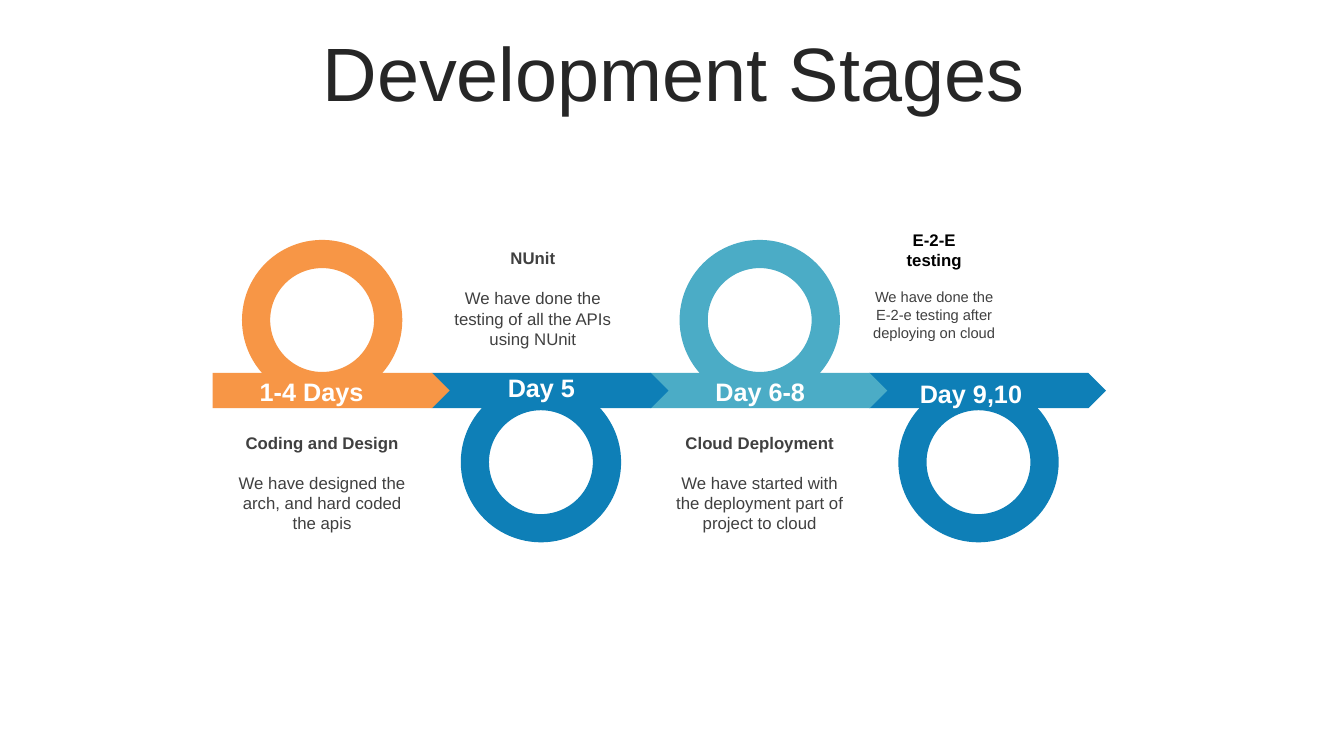
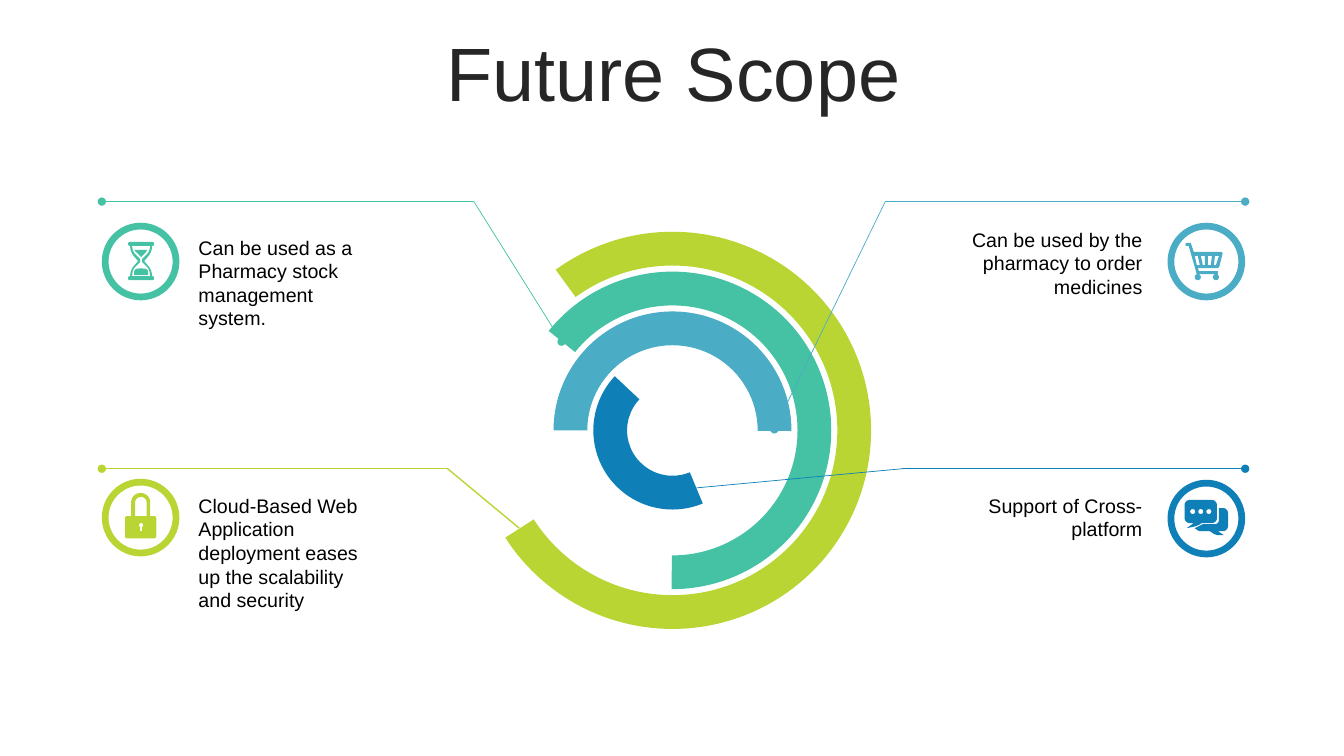
import math

import pptx
import pptx.dml.color
import pptx.enum.shapes
import pptx.enum.text
import pptx.oxml.ns
import pptx.util
from lxml import etree

Inches = pptx.util.Inches
Pt = pptx.util.Pt
SHAPE = pptx.enum.shapes.MSO_SHAPE
ALIGN = pptx.enum.text.PP_ALIGN

SLIDE_WIDTH, SLIDE_HEIGHT = 13.33, 7.5
FONT = "Arial"
COLORS = {
    "title": "262626",
    "body": "404040",
    "black": "000000",
    "white": "FFFFFF",
    "orange": "F79646",
    "blue": "0E7FB7",
    "cyan": "4BACC6",
    "lime": "B9D533",
    "green": "45C1A4",
}

# Timeline: equal columns along one band
STAGE_LEFT, STAGE_PITCH = 2.11, 2.17
BAND_TOP, BAND_HEIGHT, ARROW_WIDTH = 3.7, 0.35, 2.35
LOOP_SIZE, LOOP_INSET = 1.59, 0.29
LOOP_TOP = {"above": 2.38, "below": 3.79}

# Scope: concentric arcs and four callouts
ARC_CENTER = (6.67, 4.27)
ARC_OUTER, ARC_STEP, ARC_THICKNESS = 3.94, 0.79, 0.335
RING_SIZE = 0.77
EDGE_LEFT, EDGE_RIGHT = 1.01, 12.35
ICON_UNIT = Inches(0.01)


def rgb(color):
    return pptx.dml.color.RGBColor.from_string(COLORS[color])


def paint(shape, color):
    shape.shadow.inherit = False
    shape.fill.solid()
    shape.fill.fore_color.rgb = rgb(color)
    shape.line.fill.background()


def add_preset(slide, preset, left, top, width, height, color, adjustments=()):
    shape = slide.shapes.add_shape(
        preset, Inches(left), Inches(top), Inches(width), Inches(height))
    for index, value in enumerate(adjustments):
        shape.adjustments[index] = value
    paint(shape, color)


def style_paragraph(paragraph, size, color, bold=False, align=ALIGN.CENTER):
    paragraph.alignment = align
    paragraph.font.name = FONT
    paragraph.font.size = Pt(size)
    paragraph.font.bold = bold
    paragraph.font.color.rgb = rgb(color)


def add_text(slide, text, left, top, width, height, size, color,
             bold=False, align=ALIGN.CENTER):
    """Add a wrapped text box; each line of text is a paragraph."""
    box = slide.shapes.add_textbox(
        Inches(left), Inches(top), Inches(width), Inches(height))
    box.text_frame.word_wrap = True
    box.text_frame.text = text
    for paragraph in box.text_frame.paragraphs:
        style_paragraph(paragraph, size, color, bold, align)


def add_line(slide, start, end, color, width=0.5, dot=False):
    """Draw a line, with a dot at its end if asked."""
    connector = slide.shapes.add_connector(
        pptx.enum.shapes.MSO_CONNECTOR.STRAIGHT,
        *(Inches(value) for value in (*start, *end)))
    connector.line.color.rgb = rgb(color)
    connector.line.width = Pt(width)
    if dot:
        line = connector.line._get_or_add_ln()
        etree.SubElement(line, pptx.oxml.ns.qn("a:tailEnd"), type="oval")
    properties = connector._element.spPr
    etree.SubElement(properties, pptx.oxml.ns.qn("a:effectLst"))


def add_titled_slide(presentation, title):
    slide = presentation.slides.add_slide(presentation.slide_layouts[5])
    shape = slide.shapes.title
    shape.left, shape.top = Inches(0.35), Inches(0.37)
    shape.width, shape.height = Inches(12.66), Inches(0.79)
    frame = shape.text_frame
    frame.text = title
    frame.auto_size = pptx.enum.text.MSO_AUTO_SIZE.NONE
    frame.vertical_anchor = pptx.enum.text.MSO_ANCHOR.MIDDLE
    frame.paragraphs[0].line_spacing = 0.9
    style_paragraph(frame.paragraphs[0], 54, "title")
    return slide


def circle(x, y, radius, steps=24):
    angles = (2 * math.pi * step / steps for step in range(steps))
    return [(x + radius * math.cos(a), y + radius * math.sin(a)) for a in angles]


def outline(*vertices, steps=8):
    """Return polygon points; a vertex (x, y, radius) gets a rounded corner."""
    points = []
    for index, (x, y, *radius) in enumerate(vertices):
        if not radius:
            points.append((x, y))
            continue
        ends = []
        for neighbor in (vertices[index - 1], vertices[(index + 1) % len(vertices)]):
            dx, dy = neighbor[0] - x, neighbor[1] - y
            share = radius[0] / math.hypot(dx, dy)
            ends.append((dx * share, dy * share))
        (ax, ay), (bx, by) = ends
        for step in range(steps + 1):
            t = step / steps
            a = (1 - t) ** 3 + 1.35 * t * (1 - t) ** 2
            b = t ** 3 + 1.35 * t ** 2 * (1 - t)
            points.append((x + a * ax + b * bx, y + a * ay + b * by))
    return points


def hourglass_icon():
    return [
        outline((0, 0, 2), (26, 0, 2), (26, 4, 2), (0, 4, 2)),
        outline((0, 34, 2), (26, 34, 2), (26, 38, 2), (0, 38, 2)),
        outline((2, 4), (24, 4), (23, 11, 4), (16, 19), (23, 27, 4), (24, 34),
                (2, 34), (3, 27, 4), (10, 19), (3, 11, 4)),
        outline((4, 4), (22, 4), (21, 10, 3), (14, 17), (14, 20), (21, 27, 3),
                (22, 34), (4, 34), (5, 27, 3), (12, 20), (12, 17), (5, 10, 3)),
        outline((6, 8), (19, 8), (18, 10), (13, 15), (8, 10)),
        outline((6, 33), (6, 27, 3), (13, 26, 4), (20, 27, 3), (20, 33)),
    ]


def lock_icon():
    return [
        outline((0, 23, 2), (31, 23, 2), (31, 45, 2), (0, 45, 2)),
        outline((6, 23), (6, 0, 9.5), (25, 0, 9.5), (25, 23)),
        outline((10, 23), (10, 4, 5.5), (21.5, 4, 5.5), (21.5, 23)),
        outline((14, 30, 1.5), (18, 30, 1.5), (18, 33, 1), (17, 34),
                (17, 38), (15, 38), (15, 34), (14, 33, 1)),
    ]


def cart_icon():
    slots = [(9, 12, 14, 11), (15, 19, 19, 17), (22, 26, 25, 22), (29, 33, 30, 28)]
    return [
        outline((0, 0), (5, 0), (8, 9), (37, 9, 2), (33, 25, 1.5), (12, 25),
                (13, 28), (32, 28), (32, 31), (11, 31), (3, 3), (0, 3)),
        *(list(zip(slot, (13, 13, 22, 22))) for slot in slots),
        circle(12, 34, 3), circle(30, 34, 3),
    ]


def chat_icon():
    return [
        outline((0, 0, 5), (32, 0, 5), (32, 23, 5), (17, 23), (12, 26, 3),
                (2, 28), (9, 23), (0, 23, 5)),
        outline((34, 8), (43, 8, 5), (43, 31, 5), (33, 31), (39, 35),
                (31, 35, 3), (25, 31), (14, 31, 2), (10, 28), (18, 24), (34, 24, 4)),
        *(circle(x, 11.5, 2.5) for x in (8, 16, 24)),
    ]


def add_icon(slide, contours, left, top, color):
    """Draw contours, given in hundredths of an inch, as one shape."""
    builder = None
    for contour in contours:
        points = [(x * ICON_UNIT, y * ICON_UNIT) for x, y in contour]
        if builder is None:
            builder = slide.shapes.build_freeform(*points[0], scale=1.0)
        else:
            builder.move_to(*points[0])
        builder.add_line_segments(points[1:], close=True)
    paint(builder.convert_to_shape(Inches(left), Inches(top)), color)


def add_stage(slide, column, color, loop):
    left = STAGE_LEFT + column * STAGE_PITCH
    add_preset(slide, SHAPE.PENTAGON, left, BAND_TOP, ARROW_WIDTH, BAND_HEIGHT, color)
    add_preset(slide, SHAPE.DONUT, left + LOOP_INSET, LOOP_TOP[loop],
               LOOP_SIZE, LOOP_SIZE, color, [0.176])


def add_stage_text(slide, label, label_at, heading, heading_at, detail,
                   width=1.95, size=12, heading_color="body"):
    left, top = heading_at
    add_text(slide, label, *label_at, 1.3, 0.4, 18, "white", bold=True)
    add_text(slide, heading, left, top, width, 0.3, 12, heading_color, bold=True)
    detail_top = 2.81 if top < BAND_TOP else 4.64
    add_text(slide, detail, left, detail_top, width, 0.71, size, "body")


def add_arc(slide, ring, start, end, color):
    """Draw the arc of a ring, counted from outside, between two angles."""
    size = ARC_OUTER - ring * ARC_STEP
    left, top = (center - size / 2 for center in ARC_CENTER)
    add_preset(slide, SHAPE.BLOCK_ARC, left, top, size, size, color,
               [start * 0.6, end * 0.6, ARC_THICKNESS / size])


def add_callout(slide, color, bend, target, ring_top, icon, icon_offset,
                text, text_top, leg_width=0.5, target_dot=False):
    """Add a bent leader with its ringed icon and text at the nearer edge."""
    on_left = bend[0] < SLIDE_WIDTH / 2
    edge = EDGE_LEFT if on_left else EDGE_RIGHT
    ring_left = edge if on_left else edge - RING_SIZE
    add_line(slide, bend, (edge, bend[1]), color, dot=True)
    add_line(slide, bend, target, color, leg_width, target_dot)
    add_preset(slide, SHAPE.DONUT, ring_left, ring_top, RING_SIZE, RING_SIZE,
               color, [0.087])
    add_icon(slide, icon, ring_left + icon_offset[0], ring_top + icon_offset[1], color)
    text_left, width, align = (
        (1.87, 1.98, ALIGN.LEFT) if on_left else (9.4, 2.03, ALIGN.RIGHT))
    add_text(slide, text, text_left, text_top, width, 1.04, 14, "black", align=align)


def build_stages(presentation):
    slide = add_titled_slide(presentation, "Development Stages")
    stages = [("orange", "above"), ("blue", "below"),
              ("cyan", "above"), ("blue", "below")]
    # Right to left, so that each arrow tip lies over the next band
    for column, (color, loop) in reversed(list(enumerate(stages))):
        add_stage(slide, column, color, loop)
    add_stage_text(slide, "1-4 Days", (2.44, 3.68), "Coding and Design", (2.22, 4.24),
                   "We have designed the arch, and hard coded the apis")
    add_stage_text(slide, "Day 5", (4.72, 3.64), "NUnit", (4.31, 2.41),
                   "We have done the testing of all the APIs using NUnit")
    add_stage_text(slide, "Day 6-8", (6.89, 3.68), "Cloud Deployment", (6.56, 4.24),
                   "We have started with the deployment part of project to cloud")
    add_stage_text(slide, "Day 9,10", (8.98, 3.7), "E-2-E\ntesting", (8.54, 2.23),
                   "We have done the E-2-e testing after deploying on cloud",
                   width=1.45, size=10.5, heading_color="black")


def build_scope(presentation):
    slide = add_titled_slide(presentation, "Future Scope")
    arcs = [(234, 147.3, "lime"), (218.8, 90.3, "green"),
            (180, 0.3, "cyan"), (67.5, 223.2, "blue")]
    for ring, (start, end, color) in enumerate(arcs):
        add_arc(slide, ring, start, end, color)
    add_callout(slide, "green", (4.7, 2), (5.57, 3.39), 2.21,
                hourglass_icon(), (0.26, 0.19),
                "Can be used as a\nPharmacy stock management system.", 2.29,
                target_dot=True)
    add_callout(slide, "cyan", (8.78, 2), (7.68, 4.26), 2.21,
                cart_icon(), (0.18, 0.2),
                "Can be used by the pharmacy to order medicines", 2.21,
                target_dot=True)
    add_callout(slide, "lime", (4.44, 4.65), (5.15, 5.24), 4.75,
                lock_icon(), (0.23, 0.14),
                "Cloud-Based Web Application deployment eases up the scalability "
                "and security", 4.85, leg_width=1)
    add_callout(slide, "blue", (8.95, 4.65), (6.91, 4.84), 4.76,
                chat_icon(), (0.17, 0.2), "Support of Cross-platform", 4.85)


def main():
    presentation = pptx.Presentation()
    presentation.slide_width = Inches(SLIDE_WIDTH)
    presentation.slide_height = Inches(SLIDE_HEIGHT)
    build_stages(presentation)
    build_scope(presentation)
    presentation.save("out.pptx")


if __name__ == "__main__":
    main()
